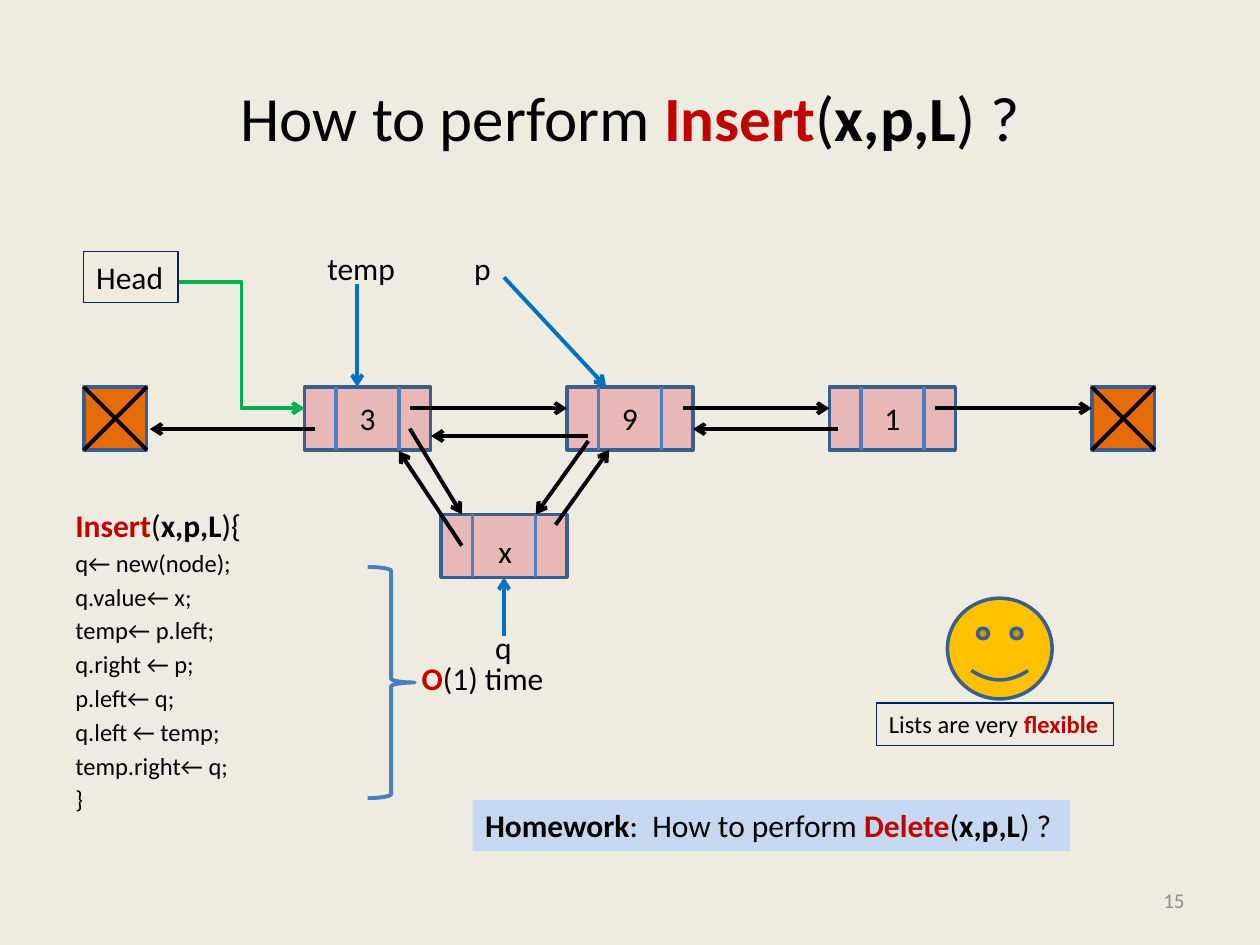
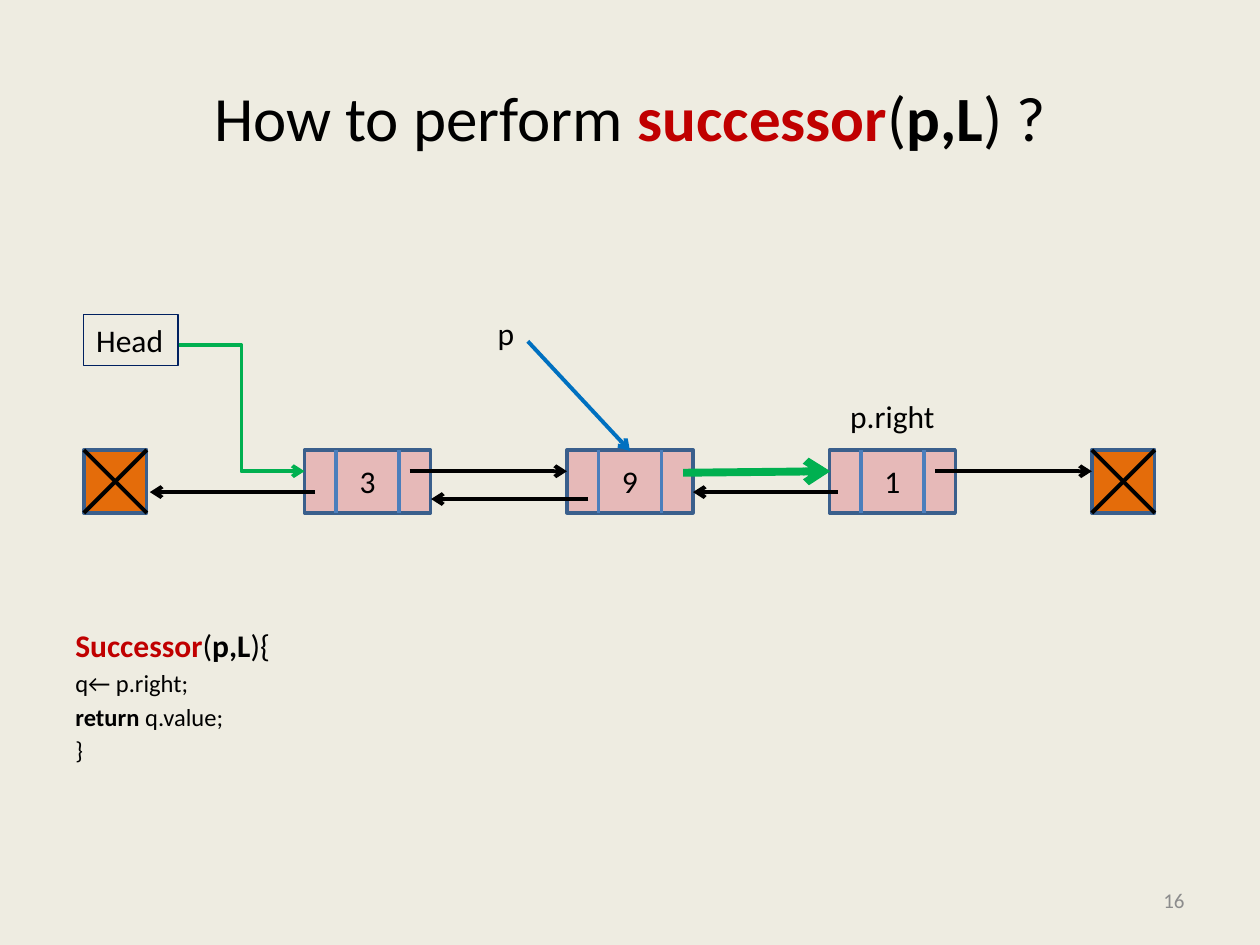
from lxml.etree import SubElement
from pptx import Presentation
from pptx.dml.color import RGBColor
from pptx.enum.shapes import MSO_CONNECTOR as Connector, MSO_SHAPE as Shape
from pptx.enum.text import MSO_ANCHOR as Anchor, PP_ALIGN as Align
from pptx.oxml.ns import qn
from pptx.util import Cm, Pt

# Shared look
BLACK, RED, GREY = "000000", "C00000", "8C8C8C"
BACKGROUND, PINK, ORANGE, YELLOW, PALE_BLUE = "EEECE1", "E6B9B8", "E46C0A", "FFC000", "C6D9F1"
OUTLINE, DIVIDER, NAVY, BLUE, GREEN = "3A5F8C", "4B7EBC", "002060", "0070C0", "00B050"
FONT = "Calibri"
PLAIN = {"color": BLACK, "bold": False}
BOLD = {"color": BLACK, "bold": True}
KEYWORD = {"color": RED, "bold": True}

# List geometry in cm
NODE_WIDTH, CELL = 2.54, 1.27
FIRST_NODE, NODE_STEP = 6.14, 5.29
NULL_ENDS = (1.69, FIRST_NODE + 3 * NODE_STEP)
NEXT_ROW, PREVIOUS_ROW, LOW_ROW = 0.43, 0.85, 0.99
LINKS = [  # from x, to x, distance below the top of the nodes
    (8.26, 11.43, NEXT_ROW), (13.77, 16.72, NEXT_ROW), (18.85, 22.01, NEXT_ROW),
    (6.35, 3.02, PREVIOUS_ROW), (16.89, 13.97, PREVIOUS_ROW), (11.86, 8.69, LOW_ROW),
]


def color(value):
    return RGBColor.from_string(value)


def call(name, arguments, ending):
    """Runs of a highlighted function call."""
    return [(name, KEYWORD), ("(", PLAIN), (arguments, BOLD), (ending, PLAIN)]


def set_format(target, values):
    for name, value in values.items():
        setattr(target, name, value)


def write(paragraph, runs, size, align=Align.LEFT):
    paragraph.alignment = align
    for text, style in runs:
        run = paragraph.add_run()
        run.text = text
        set_format(run.font, {"name": FONT, "size": Pt(size), "bold": style["bold"]})
        run.font.color.rgb = color(style["color"])


def add_text(shapes, box, runs, size=18, align=Align.LEFT, anchor=Anchor.TOP,
             wrap=False, fill=None, line=None):
    shape = shapes.add_textbox(*map(Cm, box))
    set_format(shape.text_frame, {"word_wrap": wrap, "vertical_anchor": anchor})
    write(shape.text_frame.paragraphs[0], runs, size, align)
    if fill:
        shape.fill.solid()
        shape.fill.fore_color.rgb = color(fill)
    if line:
        shape.line.color.rgb = color(line)
        shape.line.width = Pt(0.75)
    return shape


def add_shape(shapes, kind, box, fill=None, line=OUTLINE, width=2):
    shape = shapes.add_shape(kind, *map(Cm, box))
    shape.shadow.inherit = False
    if fill:
        shape.fill.solid()
        shape.fill.fore_color.rgb = color(fill)
    else:
        shape.fill.background()
    shape.line.color.rgb = color(line)
    shape.line.width = Pt(width)
    return shape


def add_line(shapes, start, end, line=BLACK, width=2.25, arrow=False,
             kind=Connector.STRAIGHT):
    connector = shapes.add_connector(kind, *map(Cm, (*start, *end)))
    connector.line.color.rgb = color(line)
    connector.line.width = Pt(width)
    if arrow:
        SubElement(connector.line._get_or_add_ln(), qn("a:tailEnd"), type="arrow")
    SubElement(connector._element.spPr, qn("a:effectLst"))


def add_node(shapes, left, top, value=""):
    node = add_shape(shapes, Shape.RECTANGLE, (left, top, NODE_WIDTH, CELL), PINK)
    if value:
        write(node.text_frame.paragraphs[0], [(value, PLAIN)], 18, Align.CENTER)
        node.text_frame.vertical_anchor = Anchor.MIDDLE
    for x in (left + NODE_WIDTH / 4, left + NODE_WIDTH * 3 / 4):
        add_line(shapes, (x, top), (x, top + CELL), DIVIDER)


def add_null(shapes, left, top):
    right, bottom = left + CELL, top + CELL
    add_shape(shapes, Shape.RECTANGLE, (left, top, CELL, CELL), ORANGE)
    add_line(shapes, (left, top), (right, bottom))
    add_line(shapes, (right, top), (left, bottom))


def add_list(slide, top):
    """Doubly linked list with its head and both null ends."""
    shapes = slide.shapes.add_group_shape().shapes
    for index, value in enumerate("391"):
        add_node(shapes, FIRST_NODE + index * NODE_STEP, top, value)
    for left in NULL_ENDS:
        add_null(shapes, left, top)
    for start, end, row in LINKS:
        add_line(shapes, (start, top + row), (end, top + row), arrow=True)
    add_text(shapes, (1.69, top - 2.73, 1.9, 1.03), [("Head", PLAIN)], line=NAVY)
    add_line(shapes, (3.6, top - 2.11), (FIRST_NODE, top + NEXT_ROW), GREEN,
             arrow=True, kind=Connector.ELBOW)


def add_pointer(slide, name, box, start, end, line=BLUE, width=2.25):
    shapes = slide.shapes.add_group_shape().shapes
    add_line(shapes, start, end, line, width, arrow=True)
    add_text(shapes, box, [(name, PLAIN)])


def add_code(slide, top, heading, lines):
    """Pseudocode: a larger heading, then one paragraph per line."""
    height = 1.1 + 0.69 * len(lines)
    frame = add_text(slide.shapes, (1.27, top, 6, height), heading, wrap=True).text_frame
    for runs in lines:
        paragraph = frame.add_paragraph()
        paragraph.space_before = Pt(2.5)
        write(paragraph, runs, 14)


def add_slide(presentation, number, title):
    slide = presentation.slides.add_slide(presentation.slide_layouts[6])
    add_text(slide.shapes, (1.27, 0.76, 22.86, 3.18),
             [("How to perform ", PLAIN)] + title, 36, Align.CENTER, Anchor.MIDDLE, True)
    add_text(slide.shapes, (18.2, 17.65, 5.93, 1.01),
             [(str(number), {"color": GREY, "bold": False})], 12, Align.RIGHT,
             Anchor.MIDDLE, True)
    return slide


def build_insert(presentation):
    slide = add_slide(presentation, 15, call("Insert", "x,p,L", ") ?"))
    shapes = slide.shapes
    add_list(slide, 7.8)
    code = ["q← new(node);", "q.value← x;", "temp← p.left;", "q.right ← p;",
            "p.left← q;", "q.left ← temp;", "temp.right← q;", "}"]
    add_code(slide, 10.07, call("Insert", "x,p,L", "){"),
             [[(line, PLAIN)] for line in code])

    # New node and its four links
    add_node(shapes, 8.89, 10.37)
    add_text(shapes, (9.8, 10.6, 0.8, 1.03), [("x", PLAIN)])
    for start, end in [((8.26, 8.64), (9.31, 10.37)), ((11.86, 8.89), (10.8, 10.37)),
                       ((9.31, 11), (8.04, 9.09)), ((11.2, 10.58), (12.28, 9.07))]:
        add_line(shapes, start, end, arrow=True)

    # Named pointers
    add_pointer(slide, "temp", (6.35, 4.9, 1.87, 1.03), (7.2, 5.72), (7.2, 7.8))
    add_pointer(slide, "p", (9.31, 4.9, 0.86, 1.03), (10.16, 5.59), (12.22, 7.8))
    add_pointer(slide, "q", (9.73, 12.53, 0.86, 1.03), (10.16, 12.83), (10.16, 11.64))

    # Running time
    add_shape(shapes, Shape.RIGHT_BRACE, (7.41, 11.43, 0.95, 4.66), line=DIVIDER, width=2.25)
    add_text(shapes, (8.25, 13.17, 3, 1.03), [("O", KEYWORD), ("(1) time", PLAIN)])

    # Remark and homework
    add_shape(shapes, Shape.SMILEY_FACE, (19.1, 12.06, 2.11, 2.03), YELLOW)
    add_text(shapes, (17.67, 14.17, 4.78, 0.86),
             [("Lists are very ", PLAIN), ("flexible", KEYWORD)], 14, line=NAVY)
    add_text(shapes, (9.53, 16.13, 12.04, 1.03),
             [("Homework", BOLD), (":  How to perform ", PLAIN)]
             + call("Delete", "x,p,L", ") ?"), fill=PALE_BLUE)


def build_successor(presentation):
    slide = add_slide(presentation, 16, call("successor", "p,L", ") ?"))
    add_list(slide, 9.07)
    add_code(slide, 12.49, call("Successor", "p,L", "){"),
             [[("q← p.right;", PLAIN)],
              [("return ", BOLD), ("q.value;", PLAIN)],
              [("}", PLAIN)]])
    add_pointer(slide, "p", (9.78, 6.2, 0.86, 1.03), (10.64, 6.88), (12.7, 9.09))
    add_pointer(slide, "p.right", (16.89, 7.87, 2.24, 1.03), (13.77, 9.53), (16.74, 9.5),
                GREEN, 4.5)


def main():
    presentation = Presentation()
    set_format(presentation, {"slide_width": Cm(25.4), "slide_height": Cm(19.05)})
    background = presentation.slide_master.background.fill
    background.solid()
    background.fore_color.rgb = color(BACKGROUND)
    build_insert(presentation)
    build_successor(presentation)
    presentation.save("out.pptx")


main()
